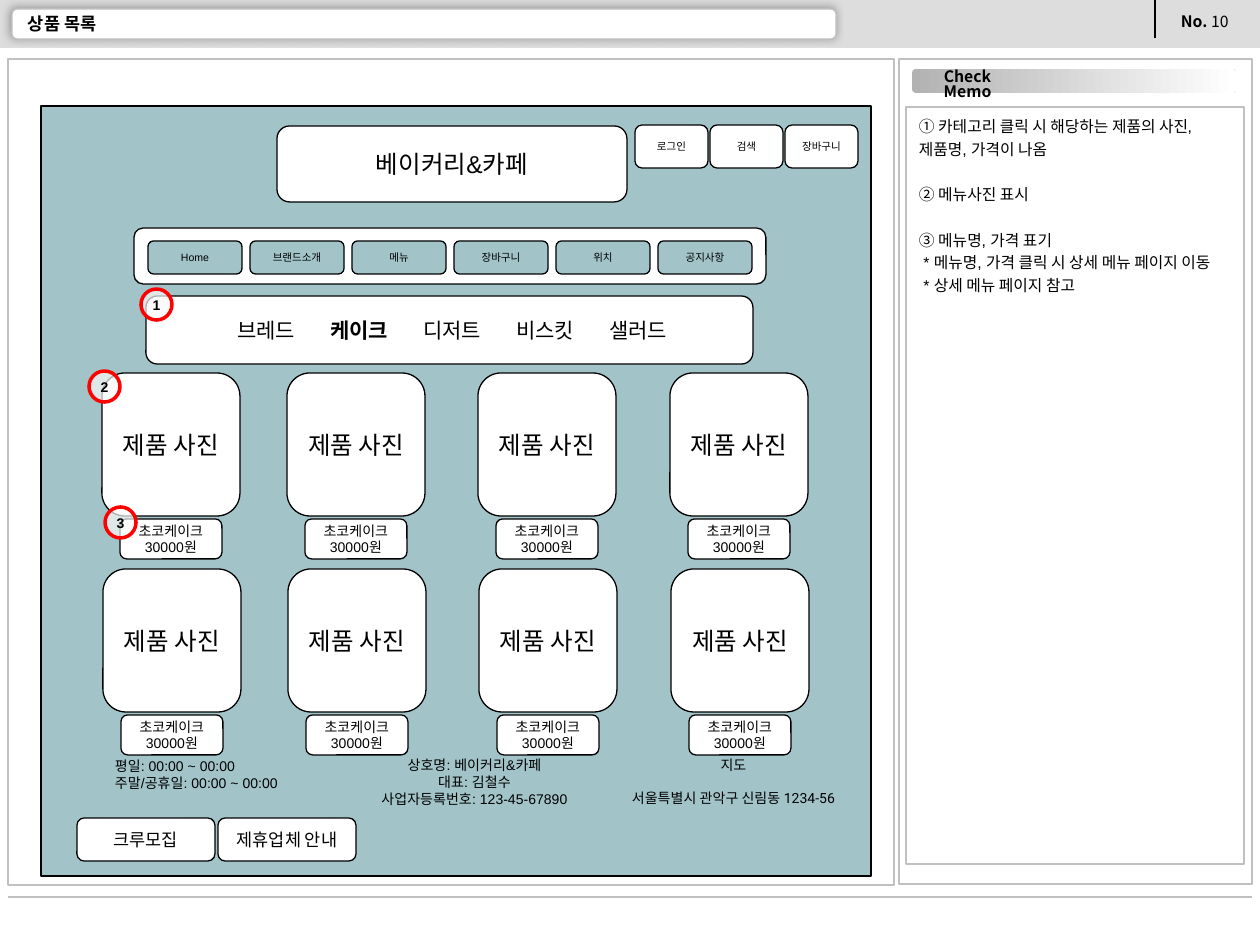
from dataclasses import dataclass

from lxml import etree
from pptx import Presentation
from pptx.dml.color import RGBColor
from pptx.enum.shapes import MSO_CONNECTOR, MSO_SHAPE
from pptx.enum.text import MSO_ANCHOR, MSO_AUTO_SIZE, PP_ALIGN
from pptx.oxml.ns import qn
from pptx.util import Emu, Pt

RECT, ROUND, OVAL = MSO_SHAPE.RECTANGLE, MSO_SHAPE.ROUNDED_RECTANGLE, MSO_SHAPE.OVAL
LEFT, CENTER = PP_ALIGN.LEFT, PP_ALIGN.CENTER
TOP, MIDDLE = MSO_ANCHOR.TOP, MSO_ANCHOR.MIDDLE


@dataclass(frozen=True)
class Theme:
    ink: str = "000000"
    paper: str = "FFFFFF"
    band: str = "DDDDDD"
    rule: str = "C0C0C0"
    shade: str = "989898"
    memo_tab: str = "B2B2B2"
    page: str = "A2C4C9"
    marker: str = "FF0000"
    marker_fill: str = "F8F8F8"
    body_font: str = "Arial"
    label_font: str = "Noto Sans CJK KR"
    address_font: str = "Roboto"
    tiny: int = 6
    small: int = 8
    note: int = 9
    button: int = 10
    category: int = 12
    large: int = 14


THEME = Theme()
PX = 914400 / 126

TITLE = "상품 목록"
PAGE_NUMBER = ("No. ", "10")
MEMO_TITLE = "Check Memo"
MEMO = [
    ["① 카테고리 클릭 시 해당하는 제품의 사진, 제품명, 가격이 나옴"],
    ["② 메뉴사진 표시"],
    ["③ 메뉴명, 가격 표기", " * 메뉴명, 가격 클릭 시 상세 메뉴 페이지 이동", " * 상세 메뉴 페이지 참고"],
]
SITE_NAME = "베이커리&카페"
ACCOUNT = ["로그인", "검색", "장바구니"]
NAVIGATION = ["Home", "브랜드소개", "메뉴", "장바구니", "위치", "공지사항"]
CATEGORIES = ["브레드", "케이크", "디저트", "비스킷", "샐러드"]
CURRENT_CATEGORY = "케이크"
PHOTO = "제품 사진"
PRODUCT = ["초코케이크", "30000원"]
PRODUCT_COLUMNS = [102, 287, 478, 670]
PRODUCT_ROWS = [(0, 373), (1, 569)]
HOURS = ["평일: 00:00 ~ 00:00", "주말/공휴일: 00:00 ~ 00:00"]
COMPANY = ["상호명: 베이커리&카페", "대표: 김철수", "사업자등록번호: 123-45-67890"]
LOCATION = ["지도", "서울특별시 관악구 신림동 1234-56"]
LINKS = ["크루모집", "제휴업체 안내"]
MARKERS = [("1", 141, 289), ("2", 89, 371), ("3", 105, 507)]


def px(value):
    return Emu(round(value * PX))


def rgb(color):
    return RGBColor.from_string(color)


def write(shape, lines, size, align=CENTER, anchor=MIDDLE, insets=(13, 13),
          bold=False, font=THEME.body_font):
    frame = shape.text_frame
    frame.word_wrap = True
    frame.auto_size = MSO_AUTO_SIZE.NONE
    frame.vertical_anchor = anchor
    frame.margin_left = frame.margin_right = px(insets[0])
    frame.margin_top = frame.margin_bottom = px(insets[1])
    for index, line in enumerate(lines):
        paragraph = frame.add_paragraph() if index else frame.paragraphs[0]
        for part in [line] if isinstance(line, str) else line:
            paragraph.add_run().text = part
        paragraph.alignment = align
        paragraph.font.size = Pt(size)
        paragraph.font.name = font
        paragraph.font.bold = bold
        paragraph.font.color.rgb = rgb(THEME.ink)
    return frame.paragraphs


def add_block(slide, kind, box, fill=THEME.paper, line=THEME.ink, width=0.75):
    block = slide.shapes.add_shape(kind, *map(px, box))
    block.shadow.inherit = False
    block.fill.solid()
    block.fill.fore_color.rgb = rgb(fill)
    if line:
        block.line.color.rgb = rgb(line)
        block.line.width = Pt(width)
    else:
        block.line.fill.background()
    return block


def add_button(slide, box, lines, size, fill=THEME.paper):
    write(add_block(slide, ROUND, box, fill), lines, size)


def add_text(slide, box, lines, size, **style):
    text = slide.shapes.add_textbox(*map(px, box))
    return write(text, lines, size, anchor=TOP, insets=(13, 6), **style)


def add_rule(slide, start, end, color, width):
    rule = slide.shapes.add_connector(MSO_CONNECTOR.STRAIGHT, *map(px, start + end))
    rule.line.color.rgb = rgb(color)
    rule.line.width = Pt(width)
    etree.SubElement(rule._element.spPr, qn("a:effectLst"))


def add_shadow(block):
    effects = block._element.spPr.find(qn("a:effectLst"))
    shadow = etree.SubElement(effects, qn("a:outerShdw"), blurRad=str(Pt(5)),
                              dist=str(Pt(1.4)), dir="13500000", algn="ctr")
    etree.SubElement(shadow, qn("a:srgbClr"), val=THEME.shade)


def build_frame(slide):
    add_block(slide, RECT, (0, 0, 1260, 48), THEME.band, None)
    add_rule(slide, (1155, 0), (1155, 38), THEME.ink, 0.75)
    number = add_text(slide, (1168, 6, 78, 32), [PAGE_NUMBER], THEME.note,
                      align=LEFT, font=THEME.label_font)
    number[0].runs[0].font.bold = True
    add_shadow(add_block(slide, ROUND, (12, 9, 824, 30), line=THEME.rule))
    add_rule(slide, (8, 897), (1252, 897), THEME.rule, 1.5)
    for box in [(899, 59, 353, 825), (8, 59, 886, 826)]:
        add_block(slide, RECT, box, line=THEME.rule)

    title = slide.shapes.title
    title.left, title.top, title.width, title.height = map(px, (15, 12, 683, 23))
    write(title, [TITLE], THEME.button, align=LEFT, insets=(13, 6), bold=True)
    slide.shapes._spTree.append(title._element)


def build_memo(slide):
    tab = add_block(slide, ROUND, (912, 69, 324, 24), line=None)
    tab.fill.gradient()
    tab.fill.gradient_angle = 0
    for stop, color in zip(tab.fill.gradient_stops, (THEME.memo_tab, THEME.paper)):
        stop.color.rgb = rgb(color)
    heading = add_text(slide, (907, 64, 121, 32), [MEMO_TITLE], THEME.note,
                       bold=True, font=THEME.label_font)
    heading[0].line_spacing = 0.8

    panel = add_block(slide, RECT, (906, 107, 338, 757), line=THEME.rule)
    lines = [line for group in MEMO for line in group]
    group_starts = [group[0] for group in MEMO[1:]]
    for paragraph in write(panel, lines, THEME.note, LEFT, TOP, (13, 6)):
        paragraph.line_spacing = 1.2
        if paragraph.text in group_starts:
            paragraph.space_before = Pt(13)


def build_page_header(slide):
    add_block(slide, RECT, (41, 106, 830, 770), THEME.page)
    add_button(slide, (277, 126, 350, 76), [SITE_NAME], THEME.large)
    for index, label in enumerate(ACCOUNT):
        add_button(slide, (635 + 75 * index, 125, 73, 43), [label], THEME.tiny)
    add_block(slide, ROUND, (134, 228, 632, 56))
    for index, label in enumerate(NAVIGATION):
        add_button(slide, (148 + 102 * index, 241, 94, 33), [label], THEME.tiny, THEME.page)

    bar = add_block(slide, ROUND, (146, 296, 607, 68))
    pitch = 93
    parts = [name if index == 0 else "\t" + name for index, name in enumerate(CATEGORIES)]
    line = write(bar, [parts], THEME.category, LEFT)[0]
    bar.text_frame.margin_left = px(88)
    line.runs[CATEGORIES.index(CURRENT_CATEGORY)].font.bold = True
    tabs = etree.Element(qn("a:tabLst"))
    for index in range(1, len(CATEGORIES)):
        etree.SubElement(tabs, qn("a:tab"), pos=str(px(pitch * index)), algn="l")
    line._p.get_or_add_pPr().find(qn("a:defRPr")).addprevious(tabs)


def build_products(slide):
    for shift, top in PRODUCT_ROWS:
        for column in PRODUCT_COLUMNS:
            left = column + shift
            add_button(slide, (left, top, 138, 143), [PHOTO], THEME.large)
            add_button(slide, (left + 18, top + 146, 102, 40), PRODUCT, THEME.small)


def build_footer(slide):
    add_text(slide, (102, 752, 218, 47), HOURS, THEME.small, align=LEFT)
    add_text(slide, (353, 751, 243, 63), COMPANY, THEME.small)
    address = add_text(slide, (612, 751, 243, 63), LOCATION, THEME.small)[1]
    address.space_before = Pt(9)
    address.font.name = THEME.address_font
    for index, label in enumerate(LINKS):
        add_button(slide, (77 + 141 * index, 818, 138, 43), [label], THEME.button)


def build_markers(slide):
    for number, left, top in MARKERS:
        marker = add_block(slide, OVAL, (left, top, 31, 31), THEME.marker_fill, THEME.marker, 2)
        color = marker._element.spPr.find(qn("a:solidFill"))[0]
        etree.SubElement(color, qn("a:alpha"), val="70000")
        write(marker, [number], THEME.small, insets=(5, 6), bold=True)


def main():
    deck = Presentation()
    deck.slide_width, deck.slide_height = px(1260), px(945)
    slide = deck.slides.add_slide(deck.slide_layouts[5])
    for build in (build_frame, build_memo, build_page_header, build_products,
                  build_footer, build_markers):
        build(slide)
    deck.save("out.pptx")


if __name__ == "__main__":
    main()
